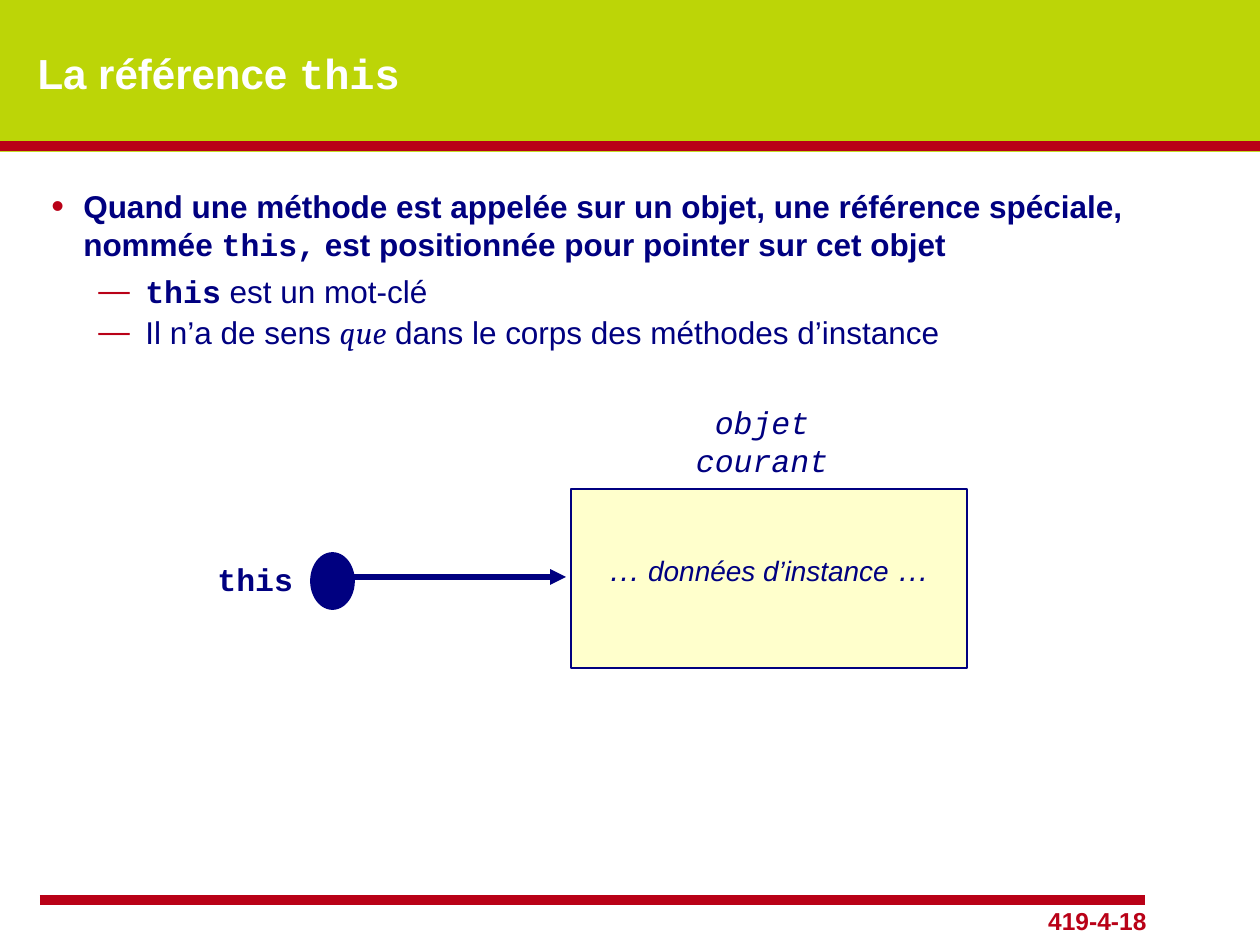
from dataclasses import dataclass

from lxml.etree import SubElement
from pptx import Presentation
from pptx.dml.color import RGBColor
from pptx.enum.shapes import MSO_CONNECTOR as Connector, MSO_SHAPE as Shape
from pptx.enum.text import MSO_ANCHOR as Anchor, PP_ALIGN as Align
from pptx.oxml.ns import qn
from pptx.util import Pt

EMU_PER_PX = 914400 / 126
WIDTH, HEIGHT = 1260, 945

LIME = RGBColor(0xBC, 0xD5, 0x07)
RED = RGBColor(0xB9, 0x01, 0x17)
NAVY = RGBColor(0x00, 0x00, 0x80)
CREAM = RGBColor(0xFF, 0xFF, 0xCC)
WHITE = RGBColor(0xFF, 0xFF, 0xFF)

SANS, MONO, SERIF = "Arial", "Courier New", "Cambria"


@dataclass(frozen=True)
class Span:
    text: str
    font: str = SANS
    size: int = 18
    color: RGBColor = NAVY
    bold: bool = False
    italic: bool = False


@dataclass(frozen=True)
class Box:
    left: int
    top: int
    width: int
    height: int


@dataclass(frozen=True)
class Label:
    box: Box
    span: Span
    align: Align


@dataclass(frozen=True)
class Stroke:
    start: tuple[int, int]
    end: tuple[int, int]
    color: RGBColor
    weight: int
    arrow: bool = False


@dataclass(frozen=True)
class Level:
    """Bullet and spacing of one outline level; lengths in px, spacing in points."""
    depth: int
    bullet: str
    bullet_percent: int
    margin: int
    hanging: int
    before: int
    after: int


POINT = Level(0, "•", 115, 32, 32, 12, 3)
SUBPOINT = Level(1, "—", 100, 94, 47, 2, 0)

TITLE_BOX = Box(25, 23, 1074, 100)
TITLE = [Span("La référence ", size=24, color=WHITE, bold=True),
         Span("this", MONO, 24, WHITE, bold=True)]

OUTLINE_BOX = Box(39, 181, 1184, 176)
OUTLINE = [
    (POINT, [
        Span("Quand une méthode est appelée sur un objet, une référence spéciale, nommée ",
             bold=True),
        Span("this,", MONO, bold=True),
        Span(" est positionnée pour pointer sur cet objet", bold=True)]),
    (SUBPOINT, [Span("this", MONO, bold=True), Span(" est un mot-clé")]),
    (SUBPOINT, [Span("Il n’a de sens "), Span("que", SERIF, italic=True),
                Span(" dans le corps des méthodes d’instance")]),
]

PAGE = Box(0, 152, WIDTH, HEIGHT - 152)
INSTANCE = Box(571, 489, 396, 179)
INSTANCE_DATA = [Span("…", italic=True),
                 Span(" données d’instance", size=16, italic=True),
                 Span(" …", italic=True)]
REFERENCE_DOT = Box(311, 553, 43, 56)

LABELS = [
    Label(Box(960, 900, 199, 42), Span("419-4-18", size=14, color=RED, bold=True), Align.RIGHT),
    Label(Box(205, 554, 120, 50), Span("this", MONO, bold=True), Align.LEFT),
    Label(Box(665, 397, 194, 88), Span("objet courant", MONO, italic=True), Align.CENTER),
]
RULES = [Stroke((40, 900), (1145, 900), RED, 6),
         Stroke((0, 146), (WIDTH, 146), RED, 6)]
POINTER = Stroke((345, 577), (566, 577), NAVY, 3, arrow=True)


def px(length: int) -> int:
    return round(length * EMU_PER_PX)


def place(box: Box) -> tuple[int, int, int, int]:
    return px(box.left), px(box.top), px(box.width), px(box.height)


def add_spans(paragraph, spans: list[Span]) -> None:
    for span in spans:
        run = paragraph.add_run()
        run.text = span.text
        font = run.font
        font.name, font.size = span.font, Pt(span.size)
        font.bold, font.italic = span.bold, span.italic
        font.color.rgb = span.color


def cast_text_shadow(paragraph) -> None:
    for run in paragraph.runs:
        effects = run.font._element.makeelement(qn("a:effectLst"))
        run.font.fill._xPr.find(qn("a:solidFill")).addnext(effects)
        shadow = SubElement(effects, qn("a:outerShdw"), dist="38100", dir="2700000")
        SubElement(shadow, qn("a:srgbClr"), val="000000")


def write_title(slide) -> None:
    title = slide.shapes.title
    title.left, title.top, title.width, title.height = place(TITLE_BOX)
    title.text_frame.vertical_anchor = Anchor.MIDDLE
    paragraph = title.text_frame.paragraphs[0]
    paragraph.alignment = Align.LEFT
    add_spans(paragraph, TITLE)
    cast_text_shadow(paragraph)


def add_shape(slide, kind: Shape, box: Box, fill: RGBColor, line: RGBColor | None = None):
    shape = slide.shapes.add_shape(kind, *place(box))
    shape.shadow.inherit = False
    shape.fill.solid()
    shape.fill.fore_color.rgb = fill
    if line is None:
        shape.line.fill.background()
    else:
        shape.line.color.rgb = line
        shape.line.width = Pt(1)
    return shape


def add_stroke(slide, stroke: Stroke) -> None:
    ends = [px(value) for value in stroke.start + stroke.end]
    connector = slide.shapes.add_connector(Connector.STRAIGHT, *ends)
    connector.line.color.rgb = stroke.color
    connector.line.width = Pt(stroke.weight)
    if stroke.arrow:
        SubElement(connector.line._get_or_add_ln(), qn("a:tailEnd"), type="triangle")
    SubElement(connector._element.spPr, qn("a:effectLst"))


def add_text_frame(slide, box: Box):
    frame = slide.shapes.add_textbox(*place(box)).text_frame
    frame.word_wrap = True
    return frame


def add_label(slide, label: Label) -> None:
    paragraph = add_text_frame(slide, label.box).paragraphs[0]
    paragraph.alignment = label.align
    add_spans(paragraph, [label.span])


def apply_level(paragraph, level: Level) -> None:
    paragraph.level = level.depth
    paragraph.space_before, paragraph.space_after = Pt(level.before), Pt(level.after)
    properties = paragraph._p.get_or_add_pPr()
    properties.set("marL", str(px(level.margin)))
    properties.set("indent", str(-px(level.hanging)))
    SubElement(SubElement(properties, qn("a:buClr")), qn("a:srgbClr"), val=str(RED))
    SubElement(properties, qn("a:buSzPct"), val=str(level.bullet_percent * 1000))
    SubElement(properties, qn("a:buFont"), typeface=SANS)
    SubElement(properties, qn("a:buChar"), char=level.bullet)


def add_outline(slide) -> None:
    frame = add_text_frame(slide, OUTLINE_BOX)
    for index, (level, spans) in enumerate(OUTLINE):
        paragraph = frame.add_paragraph() if index else frame.paragraphs[0]
        apply_level(paragraph, level)
        add_spans(paragraph, spans)


def add_instance(slide) -> None:
    frame = add_shape(slide, Shape.RECTANGLE, INSTANCE, CREAM, NAVY).text_frame
    frame.vertical_anchor = Anchor.MIDDLE
    frame.margin_bottom = px(26)
    frame.paragraphs[0].alignment = Align.CENTER
    add_spans(frame.paragraphs[0], INSTANCE_DATA)


def main() -> None:
    deck = Presentation()
    deck.slide_width, deck.slide_height = px(WIDTH), px(HEIGHT)
    slide = deck.slides.add_slide(deck.slide_layouts[5])
    slide.background.fill.solid()
    slide.background.fill.fore_color.rgb = LIME
    add_shape(slide, Shape.RECTANGLE, PAGE, WHITE)
    for rule in RULES:
        add_stroke(slide, rule)
    write_title(slide)
    add_outline(slide)
    add_instance(slide)
    for label in LABELS:
        add_label(slide, label)
    add_shape(slide, Shape.OVAL, REFERENCE_DOT, NAVY, NAVY)
    add_stroke(slide, POINTER)
    deck.save("out.pptx")


if __name__ == "__main__":
    main()
